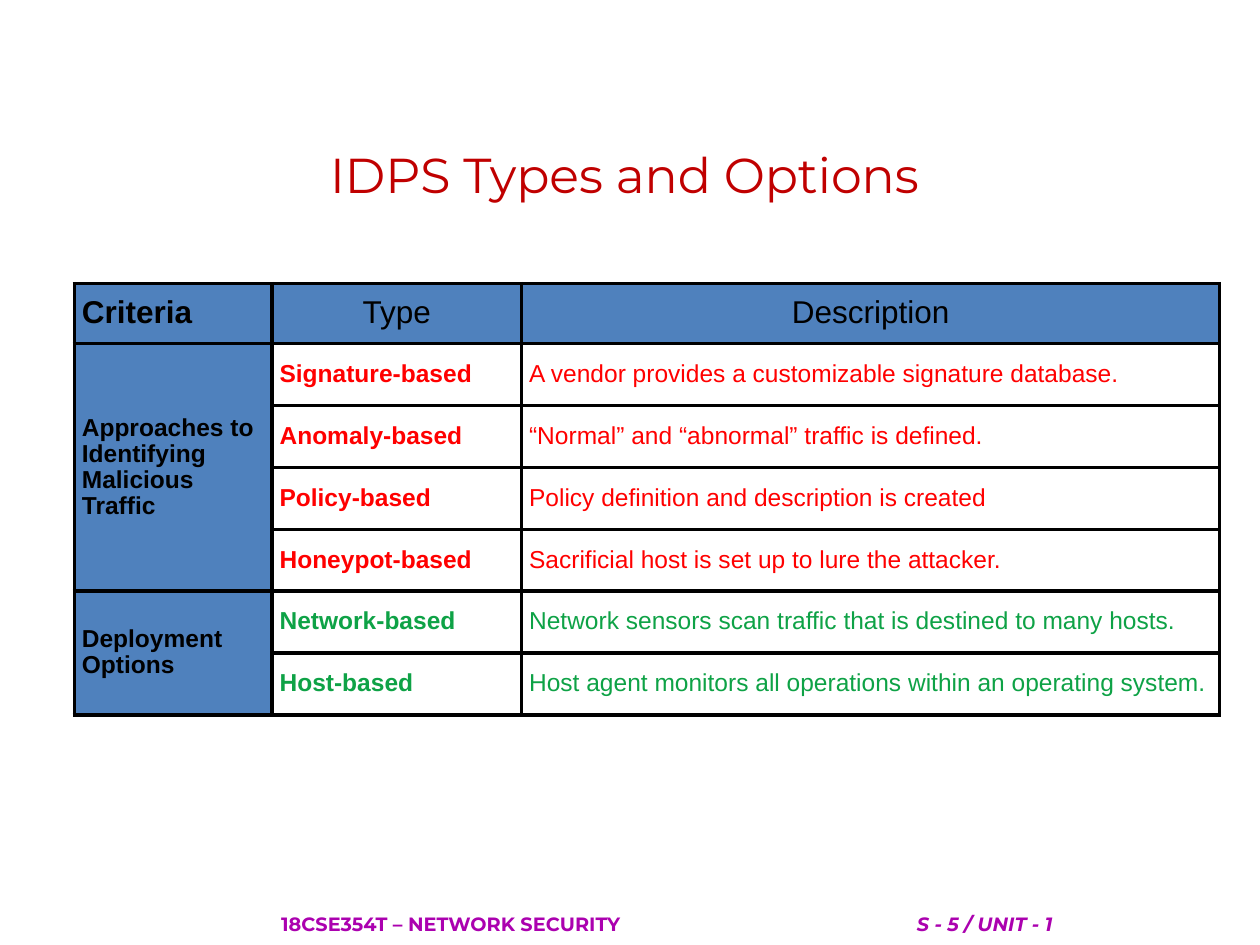
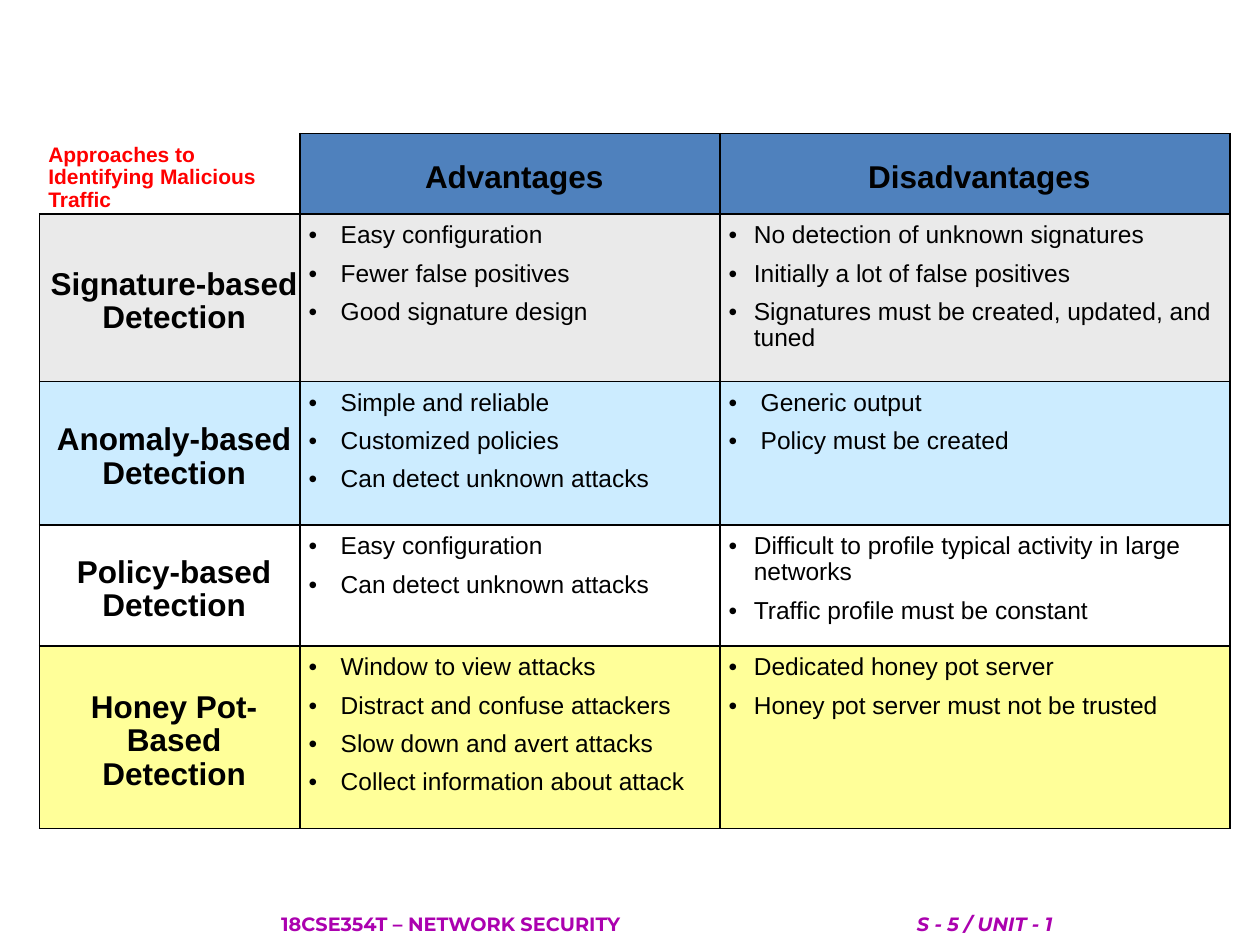
from lxml.etree import SubElement as Sub
from pptx import Presentation
from pptx.dml.color import RGBColor as Rgb
from pptx.enum.text import MSO_ANCHOR as Anchor, MSO_AUTO_SIZE as Auto, PP_ALIGN as Align
from pptx.oxml.ns import qn
from pptx.util import Pt

HUES = {
    "black": "000000", "white": "FFFFFF", "blue": "4F81BD", "red": "FF0000",
    "green": "0EA246", "title": "C00000", "footer": "AB01AF",
    "grey": "EAEAEA", "sky": "CCECFF", "yellow": "FFFF99",
}
BODY, HEAD = "Arial", "Montserrat"
FOOT = (54, 516.3, 666, 23.7)


def hue(name):
    return Rgb.from_string(HUES[name])


def style(para, size, color, bold=False, face=BODY, align=Align.LEFT, space=0.95):
    para.alignment = align
    para.line_spacing = space
    font = para.font
    font.name, font.size, font.bold = face, Pt(size), bold
    font.color.rgb = hue(color)


# Shared table parts
def add_grid(slide, box, cols, rows):
    left, top = box
    table = slide.shapes.add_table(
        len(rows), len(cols), Pt(left), Pt(top), Pt(sum(cols)), Pt(sum(rows))).table
    table.first_row = table.horz_banding = False
    for col, width in zip(table.columns, cols):
        col.width = Pt(width)
    for row, height in zip(table.rows, rows):
        row.height = Pt(height)
    return table


def edge(cell, width, sides="LRTB"):
    props = cell._tc.get_or_add_tcPr()
    for side in "LRTB":
        line = Sub(props, qn("a:ln" + side), w=str(Pt(width)))
        if side in sides:
            fill = Sub(line, qn("a:solidFill"))
            Sub(fill, qn("a:srgbClr"), val=HUES["black"])
        else:
            Sub(line, qn("a:noFill"))


def paint(cell, color, pads, anchor=Anchor.MIDDLE):
    if color:
        cell.fill.solid()
        cell.fill.fore_color.rgb = hue(color)
    else:
        cell.fill.background()
    (cell.margin_left, cell.margin_top,
     cell.margin_right, cell.margin_bottom) = map(Pt, pads)
    cell.vertical_anchor = anchor


def label(cell, text, size, color="black", bold=True, align=Align.LEFT):
    cell.text = text
    style(cell.text_frame.paragraphs[0], size, color, bold, align=align)


def bullets(cell, items, indent):
    frame = cell.text_frame
    for i, item in enumerate(items):
        para = frame.add_paragraph() if i else frame.paragraphs[0]
        para.text = item
        props = para._p.get_or_add_pPr()
        props.set("marL", str(Pt(indent)))
        props.set("indent", str(-Pt(indent)))
        tint = Sub(props, qn("a:buClr"))
        Sub(tint, qn("a:srgbClr"), val=HUES["black"])
        Sub(props, qn("a:buFont"), typeface=BODY)
        Sub(props, qn("a:buChar"), char="•")
        style(para, 14, "black")
        if i:
            para.space_before = Pt(7)


# Title and footer
def add_title(slide, box, text):
    title = slide.shapes.title
    title.left, title.top, title.width, title.height = map(Pt, box)
    frame = title.text_frame
    frame.auto_size = Auto.NONE
    frame.vertical_anchor = Anchor.TOP
    frame.text = text
    style(frame.paragraphs[0], 28, "title", face=HEAD, align=Align.CENTER, space=0.8)


def add_foot(slide, box):
    frame = slide.shapes.add_textbox(*map(Pt, box)).text_frame
    frame.word_wrap = True
    frame.vertical_anchor = Anchor.MIDDLE
    frame.margin_left = Pt(106.6)
    para = frame.paragraphs[0]
    tabs = Sub(para._p.get_or_add_pPr(), qn("a:tabLst"))
    Sub(tabs, qn("a:tab"), pos=str(Pt(363.3)), algn="l")
    para.add_run().text = "18CSE354T – NETWORK SECURITY\t"
    unit = para.add_run()
    unit.text = "S - 5 / UNIT - 1"
    unit.font.italic = True
    style(para, 11, "footer", True, HEAD, space=1)


# Table of types, grouped by criteria
GROUPS = [
    ("Approaches to Identifying Malicious Traffic", "red", [
        ("Signature-based", "A vendor provides a customizable signature database."),
        ("Anomaly-based", "“Normal” and “abnormal” traffic is defined."),
        ("Policy-based", "Policy definition and description is created"),
        ("Honeypot-based", "Sacrificial host is set up to lure the attacker."),
    ]),
    ("Deployment Options", "green", [
        ("Network-based", "Network sensors scan traffic that is destined to many hosts."),
        ("Host-based", "Host agent monitors all operations within an operating system."),
    ]),
]


def add_types(slide, box):
    table = add_grid(slide, box, [113, 142.6, 398.9], [34.4] + [35.35] * 6)
    for r in range(7):
        for c in range(3):
            cell = table.cell(r, c)
            edge(cell, 2.25)
            paint(cell, "white" if r and c else "blue", (4.3, 2.2, 4.3, 2.2))
    label(table.cell(0, 0), "Criteria", 18)
    for c, text in enumerate(("Type", "Description"), 1):
        label(table.cell(0, c), text, 18, bold=False, align=Align.CENTER)
    row = 1
    for group, color, kinds in GROUPS:
        first = table.cell(row, 0)
        first.merge(table.cell(row + len(kinds) - 1, 0))
        label(first, group, 14)
        for kind, about in kinds:
            label(table.cell(row, 1), kind, 14, color)
            label(table.cell(row, 2), about, 14, color, bold=False)
            row += 1


# Table of pros and cons: name, fill, height, pros, cons, indent of cons
NEAR, FAR = 14.4, 18.3
WAYS = [
    ("Signature-based\vDetection", "grey", 95.6,
     ["Easy configuration", "Fewer false positives", "Good signature design"],
     ["No detection of unknown signatures", "Initially a lot of false positives",
      "Signatures must be created, updated, and tuned"], NEAR),
    ("Anomaly-based\vDetection", "sky", 82.1,
     ["Simple and reliable", "Customized policies", "Can detect unknown attacks"],
     ["Generic output", "Policy must be created"], FAR),
    ("Policy-based\vDetection", "white", 69.1,
     ["Easy configuration", "Can detect unknown attacks"],
     ["Difficult to profile typical activity in large networks",
      "Traffic profile must be constant"], NEAR),
    ("Honey Pot-Based\vDetection", "yellow", 104.4,
     ["Window to view attacks", "Distract and confuse attackers",
      "Slow down and avert attacks", "Collect information about attack"],
     ["Dedicated honey pot server", "Honey pot server must not be trusted"], NEAR),
]


def add_ways(slide, box):
    pads = (5, 5, 0, 0)
    table = add_grid(slide, box, [148.8, 240, 291.5], [43.8] + [way[2] for way in WAYS])
    corner = table.cell(0, 0)
    edge(corner, 1, "RB")
    paint(corner, None, pads)
    label(corner, "Approaches to Identifying Malicious Traffic", 12, "red")
    for c, text in enumerate(("Advantages", "Disadvantages"), 1):
        cell = table.cell(0, c)
        edge(cell, 1)
        paint(cell, "blue", pads)
        label(cell, text, 18, align=Align.CENTER)
    for r, (name, color, _, pros, cons, indent) in enumerate(WAYS, 1):
        for c in range(3):
            cell = table.cell(r, c)
            edge(cell, 1)
            paint(cell, color, pads, Anchor.TOP if c else Anchor.MIDDLE)
        label(table.cell(r, 0), name, 18, align=Align.CENTER)
        bullets(table.cell(r, 1), pros, FAR)
        bullets(table.cell(r, 2), cons, indent)


def main():
    deck = Presentation()
    deck.slide_width, deck.slide_height = Pt(720), Pt(540)

    kinds = deck.slides.add_slide(deck.slide_layouts[5])
    add_types(kinds, (42.5, 162))
    add_title(kinds, (38.9, 85.7, 635.8, 40.3), "IDPS Types and Options")
    add_foot(kinds, FOOT)

    ways = deck.slides.add_slide(deck.slide_layouts[6])
    add_ways(ways, (22.6, 76.3))
    add_foot(ways, FOOT)

    deck.save("out.pptx")


if __name__ == "__main__":
    main()
